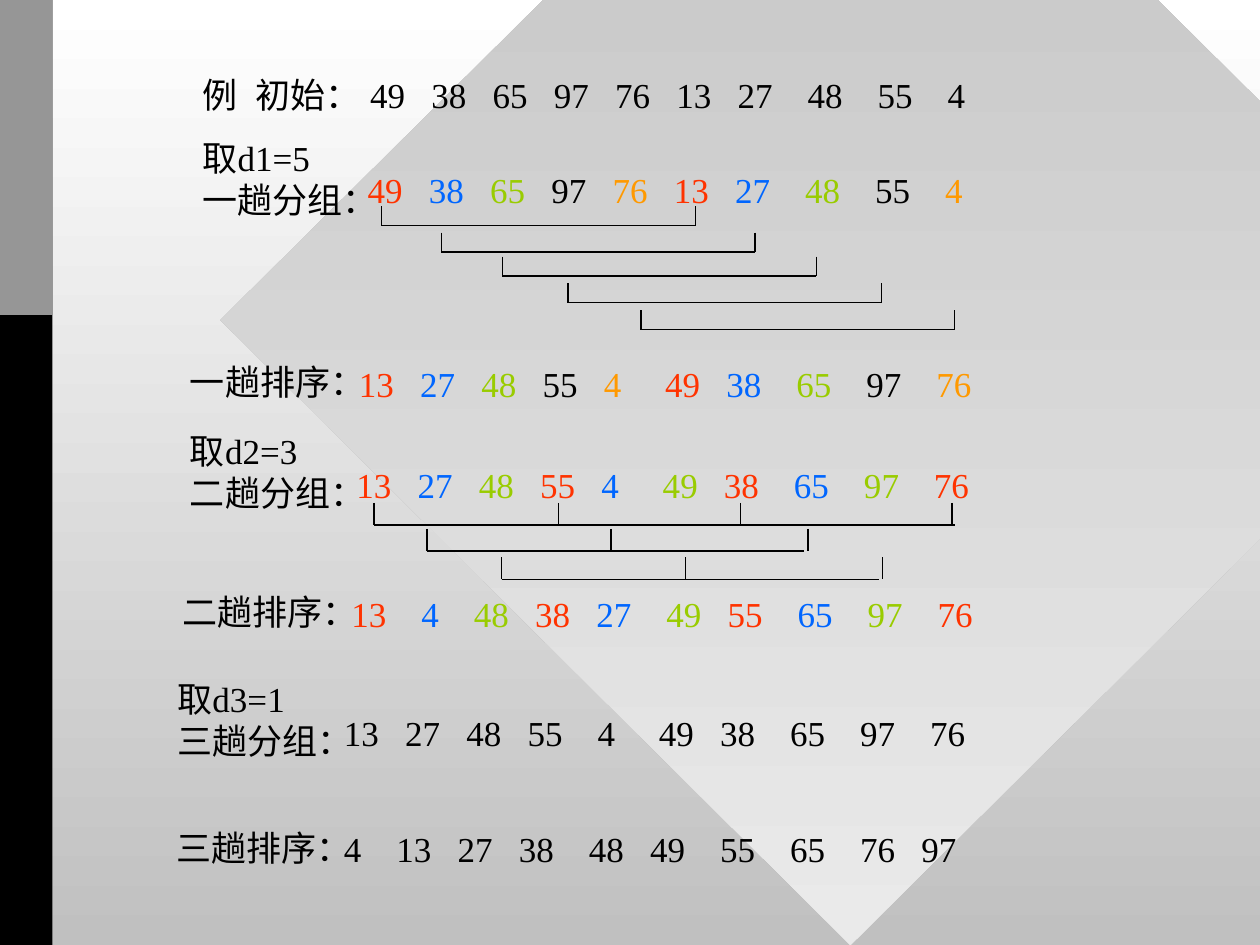
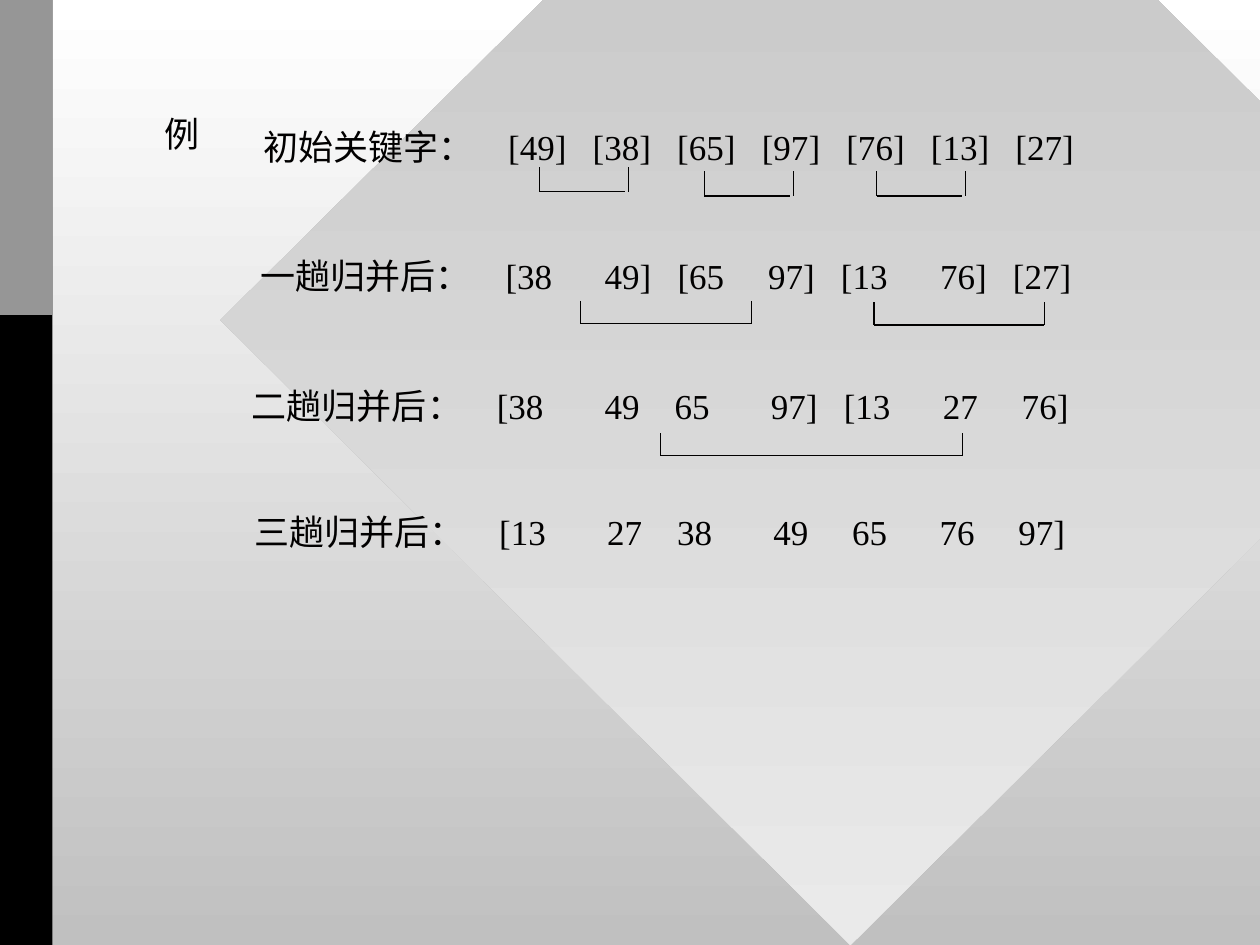
from collections.abc import Sequence
from dataclasses import dataclass
from itertools import accumulate, cycle

from lxml import etree
from pptx import Presentation
from pptx.dml import color as dml, fill as dml_fill
from pptx.enum import shapes, text
from pptx.oxml import ns
from pptx.slide import Slide
from pptx.util import Pt

COLORS = {
    "black": "000000", "ink": "010000", "white": "FFFFFF", "silver": "C0C0C0",
    "pale": "EAEAEA", "gray": "969696", "red": "FF3300", "blue": "0066FF",
    "green": "99CC00", "orange": "FF9900",
}
FIVE_GROUPS = ("red", "blue", "green", "black", "orange")
THREE_GROUPS = ("red", "blue", "green")

FONT, FONT_SIZE = "Times New Roman", 20
LINE_HEIGHT, SPACE_WIDTH = 24, 5
INSET_X, INSET_Y = 7.2, 3.6
SLIDE_WIDTH, SLIDE_HEIGHT = 720, 540


@dataclass(frozen=True)
class Row:
    """Words on one line; gaps holds one digit per gap, counted in spaces."""
    left: float
    top: float
    words: str
    gaps: str = ""
    colors: Sequence[str] = ("black",)


@dataclass(frozen=True)
class Label:
    left: float
    top: float
    lines: str


@dataclass(frozen=True)
class Bracket:
    """Stems standing on a bar, which may run past the last stem or stop short."""
    stems: Sequence[float]
    bottom: float
    height: float
    overrun: float = 0


SHELL_LABELS = [
    Label(108.7, 74.2, "取d1=5\n一趟分组："),
    Label(101.5, 202.3, "一趟排序："),
    Label(101.5, 241.9, "取d2=3\n二趟分组："),
    Label(97.2, 334.1, "二趟排序："),
    Label(94.3, 383.8, "取d3=1\n三趟分组："),
    Label(93.6, 468.7, "三趟排序："),
]
SHELL_ROWS = [
    Row(108.7, 38.2, "例 初始：", "2"),
    Row(204.5, 38.2, "49 38 65 97 76 13 27 48 55 4", "333333444"),
    Row(203, 92.9, "49 38 65 97 76 13 27 48 55 4", "333333444", FIVE_GROUPS),
    Row(198, 203.8, "13 27 48 55 4 49 38 65 97 76", "333353444", FIVE_GROUPS),
    Row(196.6, 261.4, "13 27 48 55 4 49 38 65 97 76", "333353444", THREE_GROUPS),
    Row(193.7, 334.8, "13 4 48 38 27 49 55 65 97 76", "443343444", THREE_GROUPS),
    Row(189.4, 403.2, "13 27 48 55 4 49 38 65 97 76", "333453444"),
    Row(189.4, 469.4, "4 13 27 38 48 49 55 65 76 97", "433434443"),
]
PAIR_SPAN = 179.3
SHELL_BRACKETS = [
    Bracket((left, left + PAIR_SPAN), bottom, 11)
    for left, bottom in [(218.2, 128.9), (252.2, 144), (287.1, 157.7),
                         (324.6, 172.9), (366.3, 188.4)]
] + [
    Bracket((213.8, 319, 423.2, 544.1), 300, 12.6, 1.5),
    Bracket((244, 349.2, 461.7), 314.8, 12.6, -2.2),
    Bracket((286.6, 391.7, 504.3), 331.1, 12.6, -2.2),
]

MERGE_ROWS = [
    Row(87.1, 60.5, "例", colors=("ink",)),
    Row(143.3, 68.4, "初始关键字： [49] [38] [65] [97] [76] [13] [27]",
        "4333333", ("ink",)),
    Row(141.8, 141.8, "一趟归并后： [38 49] [65 97] [13 76] [27]",
        "4635363", ("ink",)),
    Row(136.8, 216, "二趟归并后： [38 49 65 97] [13 27 76]",
        "4747365", ("ink",)),
    Row(138.2, 288, "三趟归并后： [13 27 38 49 65 76 97]",
        "4747565", ("ink",)),
]
MERGE_BRACKETS = [
    Bracket((308.2, 359.3), 109.6, 14, -2.2),
    Bracket((402.5, 453.4), 112, 14, -2.2),
    Bracket((501, 551.7), 112, 14, -2.2),
    Bracket((331.9, 429.3), 184.9, 13),
    Bracket((499.5, 596.8), 185.7, 13),
    Bracket((377.3, 549.9), 260.5, 13),
]


def rgb(name: str) -> dml.RGBColor:
    return dml.RGBColor.from_string(COLORS[name])


def text_width(content: str) -> float:
    """Width of CJK characters, brackets and digits at the shared font size."""
    return sum(FONT_SIZE if ord(char) > 255 else 6.66 if char in "[]" else 10
               for char in content)


def fill_downwards(fill: dml_fill.FillFormat, start: str, end: str) -> None:
    """Gradient from the top colour to the bottom colour."""
    fill.gradient()
    fill.gradient_angle = 270
    for stop, name in zip(fill.gradient_stops, (start, end)):
        stop.color.rgb = rgb(name)


def add_panel(slide: Slide, kind: shapes.MSO_SHAPE, left: float, top: float,
              width: float, height: float, *fill_colors: str) -> None:
    shape = slide.shapes.add_shape(kind, Pt(left), Pt(top), Pt(width), Pt(height))
    shape.shadow.inherit = False
    shape.line.fill.background()
    if len(fill_colors) == 2:
        fill_downwards(shape.fill, *fill_colors)
    else:
        shape.fill.solid()
        shape.fill.fore_color.rgb = rgb(fill_colors[0])


def add_backdrop(slide: Slide) -> None:
    kinds = shapes.MSO_SHAPE
    add_panel(slide, kinds.DIAMOND, 126, -174.2, 720, 714.2, "silver", "pale")
    add_panel(slide, kinds.RECTANGLE, 0, 0, 30, SLIDE_HEIGHT, "black")
    add_panel(slide, kinds.RECTANGLE, 0, 0, 30, 180, "gray")


def add_text(slide: Slide, lines: Sequence[Sequence[str]], *, left: float,
             top: float, width: float, colors: Sequence[str] = ("black",),
             stops: Sequence[float] = ()) -> None:
    """Write lines of words, each word after the first at its own tab stop."""
    box = slide.shapes.add_textbox(Pt(left), Pt(top), Pt(width + 2 * INSET_X),
                                   Pt(LINE_HEIGHT * len(lines) + 2 * INSET_Y))
    frame = box.text_frame
    frame.word_wrap = False
    frame.auto_size = text.MSO_AUTO_SIZE.SHAPE_TO_FIT_TEXT
    for index, words in enumerate(lines):
        paragraph = frame.add_paragraph() if index else frame.paragraphs[0]
        if stops:
            properties = paragraph._p.get_or_add_pPr()
            tabs = etree.SubElement(properties, ns.qn("a:tabLst"))
            for stop in stops:
                etree.SubElement(tabs, ns.qn("a:tab"), pos=str(Pt(stop)), algn="l")
        for position, (word, color) in enumerate(zip(words, cycle(colors))):
            run = paragraph.add_run()
            run.text = f"\t{word}" if position else word
            run.font.name = FONT
            run.font.size = Pt(FONT_SIZE)
            run.font.color.rgb = rgb(color)


def add_row(slide: Slide, row: Row) -> None:
    words = row.words.split()
    gaps = [SPACE_WIDTH * int(digit) for digit in row.gaps]
    stops = list(accumulate(text_width(word) + gap for word, gap in zip(words, gaps)))
    width = (stops[-1] if stops else 0) + text_width(words[-1])
    add_text(slide, [words], left=row.left, top=row.top, width=width,
             colors=row.colors, stops=stops)


def add_label(slide: Slide, label: Label) -> None:
    lines = label.lines.split("\n")
    add_text(slide, [[line] for line in lines], left=label.left, top=label.top,
             width=max(map(text_width, lines)))


def add_line(slide: Slide, x1: float, y1: float, x2: float, y2: float,
             color: str) -> None:
    connector = slide.shapes.add_connector(
        shapes.MSO_CONNECTOR.STRAIGHT, Pt(x1), Pt(y1), Pt(x2), Pt(y2))
    connector.line.color.rgb = rgb(color)
    connector.line.width = Pt(0.75)
    etree.SubElement(connector._element.spPr, ns.qn("a:effectLst"))


def add_bracket(slide: Slide, bracket: Bracket, color: str) -> None:
    bottom = bracket.bottom
    add_line(slide, bracket.stems[0], bottom,
             bracket.stems[-1] + bracket.overrun, bottom, color)
    for stem in bracket.stems:
        add_line(slide, stem, bottom - bracket.height, stem, bottom, color)


def add_sorting_slide(presentation: Presentation, labels: Sequence[Label],
                      rows: Sequence[Row], brackets: Sequence[Bracket],
                      line_color: str) -> None:
    slide = presentation.slides.add_slide(presentation.slide_layouts[6])
    add_backdrop(slide)
    for label in labels:
        add_label(slide, label)
    for row in rows:
        add_row(slide, row)
    for bracket in brackets:
        add_bracket(slide, bracket, line_color)


def main() -> None:
    presentation = Presentation()
    presentation.slide_width = Pt(SLIDE_WIDTH)
    presentation.slide_height = Pt(SLIDE_HEIGHT)
    fill_downwards(presentation.slide_master.background.fill, "white", "silver")
    add_sorting_slide(presentation, SHELL_LABELS, SHELL_ROWS, SHELL_BRACKETS, "black")
    add_sorting_slide(presentation, [], MERGE_ROWS, MERGE_BRACKETS, "ink")
    presentation.save("out.pptx")


if __name__ == "__main__":
    main()
